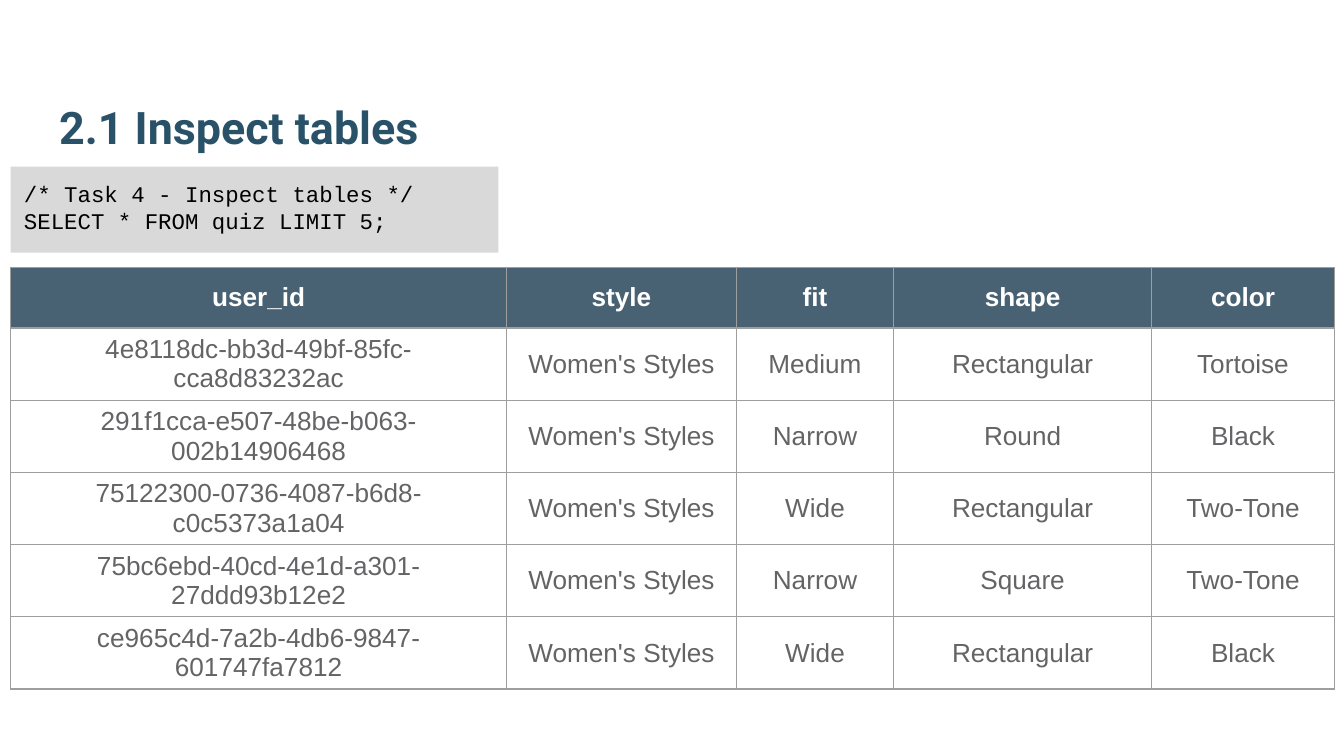
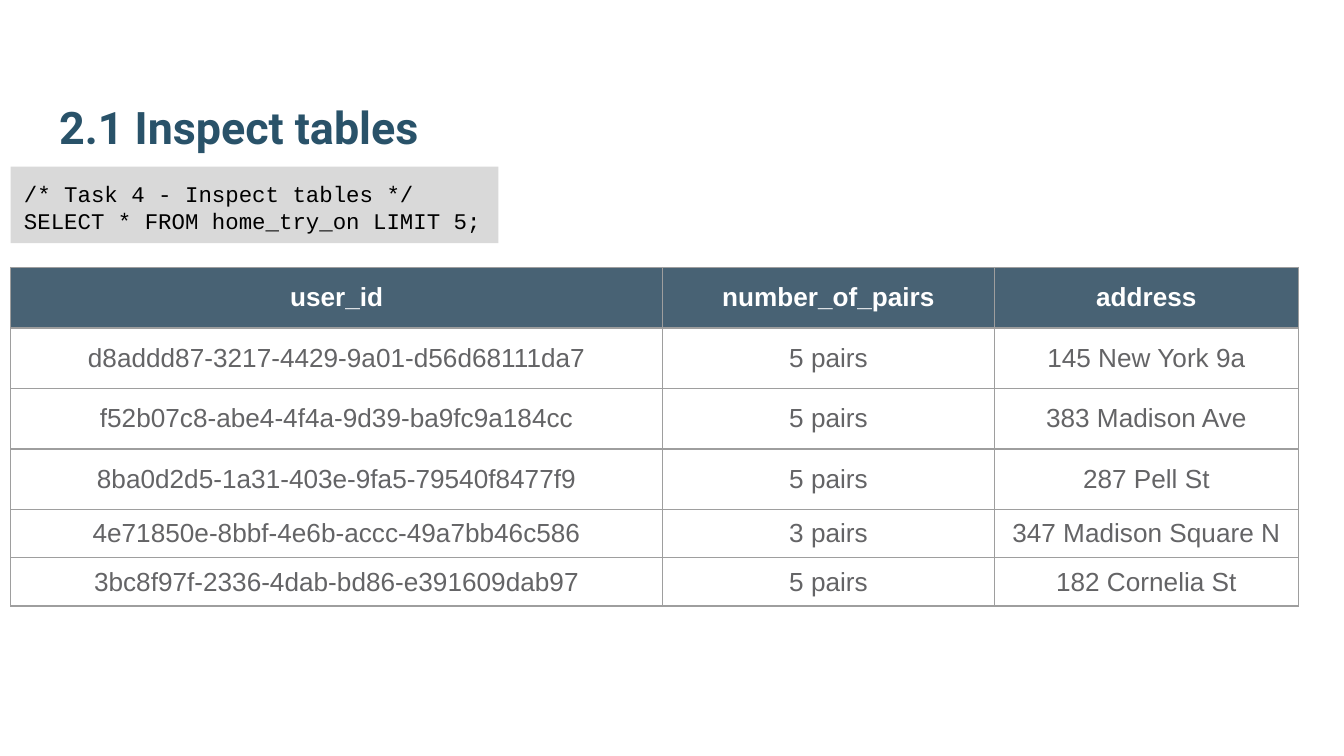
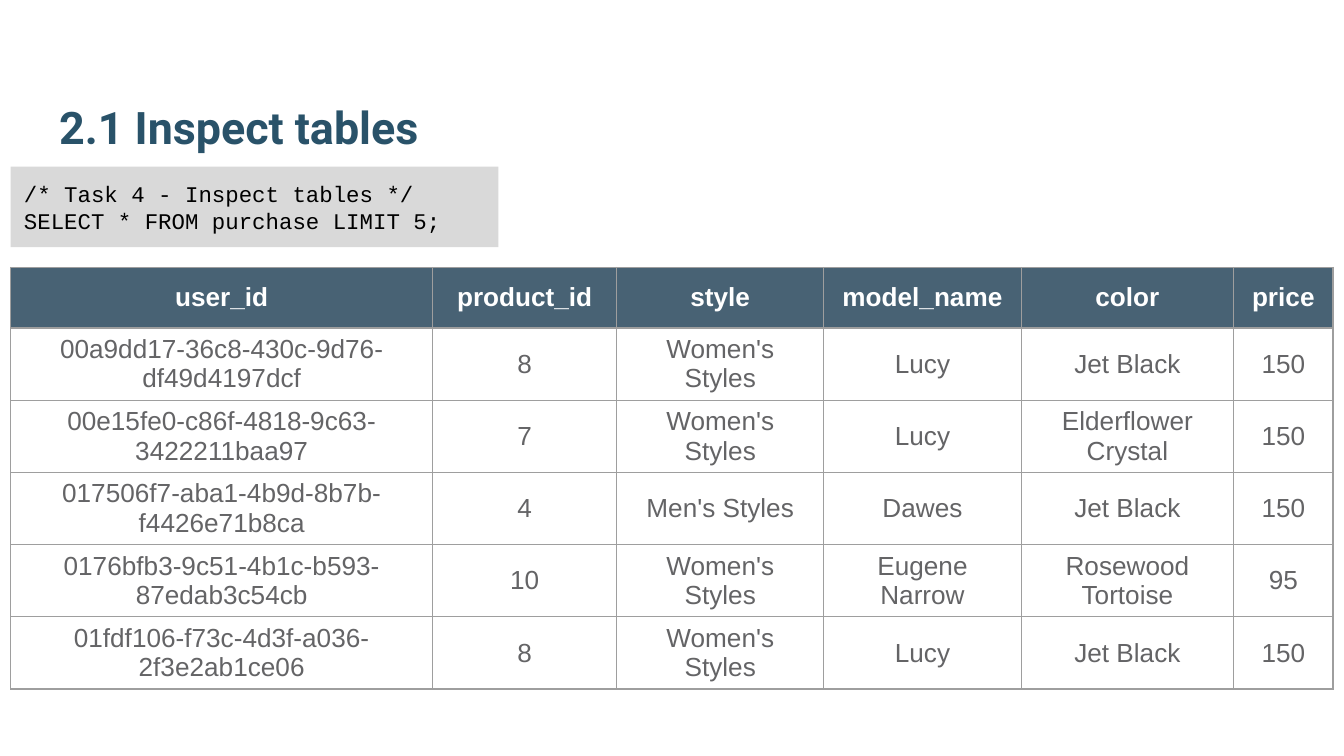
from lxml import etree
from pptx import Presentation
from pptx.dml.color import RGBColor
from pptx.enum.shapes import MSO_SHAPE
from pptx.enum.text import MSO_ANCHOR, MSO_AUTO_SIZE, PP_ALIGN
from pptx.oxml import parse_xml
from pptx.oxml.ns import nsdecls, qn
from pptx.util import Inches, Pt

RECT = MSO_SHAPE.RECTANGLE
TOP, MIDDLE, BOTTOM = MSO_ANCHOR.TOP, MSO_ANCHOR.MIDDLE, MSO_ANCHOR.BOTTOM
LEFT, CENTER = PP_ALIGN.LEFT, PP_ALIGN.CENTER
NO_FIT = MSO_AUTO_SIZE.NONE

COLORS = {
    "title": "295269",
    "code": "000000",
    "code_box": "D9D9D9",
    "header": "204056",
    "header_text": "FFFFFF",
    "body_text": "646466",
    "border": "9E9E9E",
}
HEADER_ALPHA = 82000
EDGE = 0.08
TITLE_LEFT, TITLE_TOP, TITLE_W, TITLE_H = 0.34, 0.32, 9.32, 0.92
CODE_TOP, CODE_W = TITLE_TOP + TITLE_H, 3.63
TABLE_TOP = 1.99
ROW_HEIGHTS = [0.45] * 4 + [0.36] * 2

# Each entry: queried table, code box height, column widths, rows with the header first
RESULTS = [
    ("quiz", 0.64, [3.69, 1.71, 1.17, 1.92, 1.36], [
        ["user_id", "style", "fit", "shape", "color"],
        ["4e8118dc-bb3d-49bf-85fc-cca8d83232ac", "Women's Styles", "Medium", "Rectangular", "Tortoise"],
        ["291f1cca-e507-48be-b063-002b14906468", "Women's Styles", "Narrow", "Round", "Black"],
        ["75122300-0736-4087-b6d8-c0c5373a1a04", "Women's Styles", "Wide", "Rectangular", "Two-Tone"],
        ["75bc6ebd-40cd-4e1d-a301-27ddd93b12e2", "Women's Styles", "Narrow", "Square", "Two-Tone"],
        ["ce965c4d-7a2b-4db6-9847-601747fa7812", "Women's Styles", "Wide", "Rectangular", "Black"],
    ]),
    ("home_try_on", 0.57, [4.85, 2.47, 2.26], [
        ["user_id", "number_of_pairs", "address"],
        ["d8addd87-3217-4429-9a01-d56d68111da7", "5 pairs", "145 New York 9a"],
        ["f52b07c8-abe4-4f4a-9d39-ba9fc9a184cc", "5 pairs", "383 Madison Ave"],
        ["8ba0d2d5-1a31-403e-9fa5-79540f8477f9", "5 pairs", "287 Pell St"],
        ["4e71850e-8bbf-4e6b-accc-49a7bb46c586", "3 pairs", "347 Madison Square N"],
        ["3bc8f97f-2336-4dab-bd86-e391609dab97", "5 pairs", "182 Cornelia St"],
    ]),
    ("purchase", 0.6, [3.14, 1.37, 1.54, 1.47, 1.58, 0.74], [
        ["user_id", "product_id", "style", "model_name", "color", "price"],
        ["00a9dd17-36c8-430c-9d76-df49d4197dcf", "8", "Women's Styles", "Lucy", "Jet Black", "150"],
        ["00e15fe0-c86f-4818-9c63-3422211baa97", "7", "Women's Styles", "Lucy", "Elderflower Crystal", "150"],
        ["017506f7-aba1-4b9d-8b7b-f4426e71b8ca", "4", "Men's Styles", "Dawes", "Jet Black", "150"],
        ["0176bfb3-9c51-4b1c-b593-87edab3c54cb", "10", "Women's Styles", "Eugene Narrow", "Rosewood Tortoise", "95"],
        ["01fdf106-f73c-4d3f-a036-2f3e2ab1ce06", "8", "Women's Styles", "Lucy", "Jet Black", "150"],
    ]),
]


def write(tf, text, font, size, color, bold=False, align=LEFT):
    """Fill a text frame and format every run in it the same way."""
    tf.text = text
    for p in tf.paragraphs:
        p.alignment = align
        for r in p.runs:
            r.font.name = font
            r.font.size = Pt(size)
            r.font.bold = bold
            r.font.color.rgb = RGBColor.from_string(COLORS[color])


def format_frame(tf, anchor):
    tf.word_wrap = True
    tf.auto_size = NO_FIT
    tf.vertical_anchor = anchor
    tf.margin_left = tf.margin_right = tf.margin_top = tf.margin_bottom = Inches(0.1)


prs = Presentation()
prs.slide_width = Inches(10)
prs.slide_height = prs.slide_width * 9 // 16

for source, code_h, widths, rows in RESULTS:
    s = prs.slides.add_slide(prs.slide_layouts[5])

    title = s.shapes.title
    title.left, title.top = Inches(TITLE_LEFT), Inches(TITLE_TOP)
    title.width, title.height = Inches(TITLE_W), Inches(TITLE_H)
    format_frame(title.text_frame, BOTTOM)
    write(title.text_frame, "2.1 Inspect tables", "Roboto", 24, "title", bold=True)

    box = s.shapes.add_shape(RECT, Inches(EDGE), Inches(CODE_TOP), Inches(CODE_W), Inches(code_h))
    box.shadow.inherit = False
    box.fill.solid()
    box.fill.fore_color.rgb = RGBColor.from_string(COLORS["code_box"])
    box.line.fill.background()
    format_frame(box.text_frame, TOP)
    query = f"/* Task 4 - Inspect tables */\nSELECT * FROM {source} LIMIT 5;"
    write(box.text_frame, query, "Courier New", 12, "code")

    table = s.shapes.add_table(len(rows), len(widths), Inches(EDGE), Inches(TABLE_TOP),
                               Inches(sum(widths)), Inches(sum(ROW_HEIGHTS))).table
    table.horz_banding = False
    for column, width in zip(table.columns, widths):
        column.width = Inches(width)
    for i, values in enumerate(rows):
        table.rows[i].height = Inches(ROW_HEIGHTS[i])
        is_header = i == 0
        for j, value in enumerate(values):
            cell = table.cell(i, j)
            cell.vertical_anchor = MIDDLE
            write(cell.text_frame, value, "Arial", 14,
                  "header_text" if is_header else "body_text", bold=is_header, align=CENTER)
            tcPr = cell._tc.get_or_add_tcPr()
            if is_header:
                cell.fill.solid()
                cell.fill.fore_color.rgb = RGBColor.from_string(COLORS["header"])
                srgb = tcPr.find(".//" + qn("a:srgbClr"))
                etree.SubElement(srgb, qn("a:alpha")).set("val", str(HEADER_ALPHA))
            else:
                cell.fill.background()
            for k, side in enumerate(("lnL", "lnR", "lnT", "lnB")):
                tcPr.insert(k, parse_xml(
                    f'<a:{side} {nsdecls("a")} w="{Pt(0.75)}"><a:solidFill>'
                    f'<a:srgbClr val="{COLORS["border"]}"/></a:solidFill></a:{side}>'))

prs.save("out.pptx")
